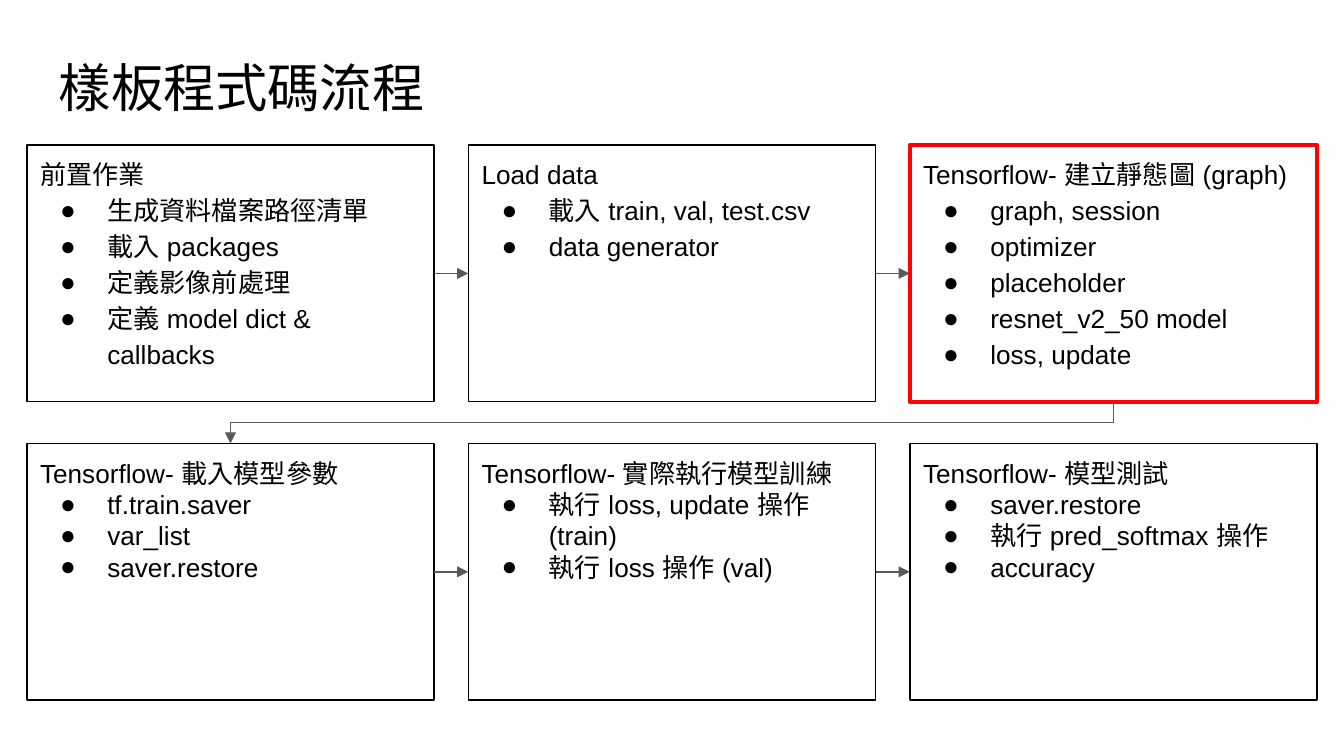
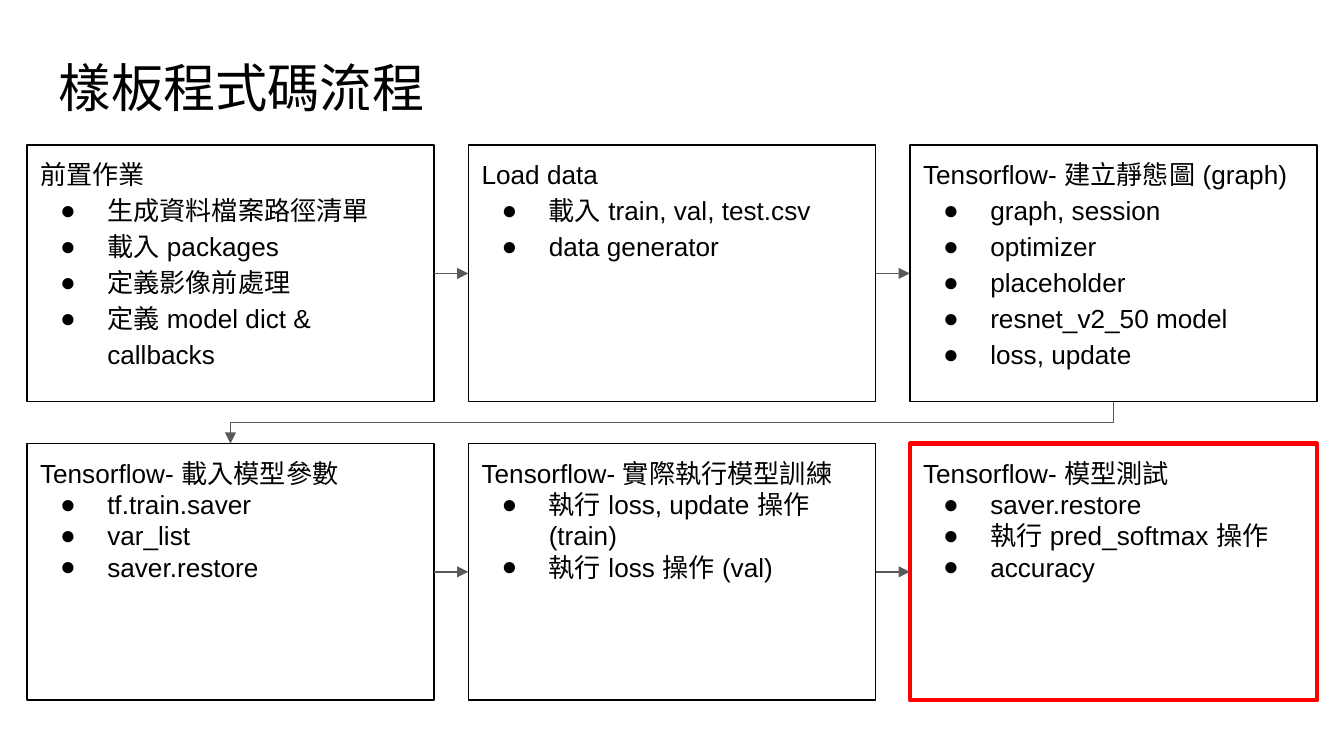
from dataclasses import dataclass
from typing import Any, NamedTuple

import lxml.etree
import pptx
import pptx.dml.color
import pptx.enum.shapes
import pptx.enum.text
import pptx.oxml.ns
import pptx.util

PX = 4572  # 200 px to the inch


def px(length: float) -> int:
    return pptx.util.Emu(round(length * PX))


def rgb(value: str) -> pptx.dml.color.RGBColor:
    return pptx.dml.color.RGBColor.from_string(value)


# Theme: colours, type sizes and line widths
@dataclass(frozen=True)
class Theme:
    font: str = "Arial"
    language: str = "zh-TW"
    ink: str = "000000"
    highlight: str = "FF0000"
    arrow: str = "595959"
    title_size: int = 28
    body_size: int = 14
    thin: float = 0.75
    thick: float = 2.25
    inset: int = 20
    bullet: str = "●"
    bullet_margin: int = 100
    bullet_hang: int = 70


THEME = Theme()


class Box(NamedTuple):
    left: int
    top: int
    width: int
    height: int


class Step(NamedTuple):
    heading: str
    items: tuple[str, ...]


# Geometry
SLIDE_WIDTH, SLIDE_HEIGHT = 2000, 1125
TITLE_BOX = Box(68, 62, 1864, 126)
FIRST_STEP = Box(40, 216, 606, 382)
COLUMNS, COLUMN_PITCH, ROW_PITCH = 3, 657, 444
ROW_SPACING = (1.15, 1.0)
TOP, LEFT, BOTTOM, RIGHT = range(4)  # connection sites of a rectangle

# Content
TITLE = "樣板程式碼流程"
STEPS = (
    Step("前置作業", ("生成資料檔案路徑清單", "載入 packages", "定義影像前處理",
                  "定義 model dict & callbacks")),
    Step("Load data", ("載入 train, val, test.csv", "data generator")),
    Step("Tensorflow- 建立靜態圖 (graph)",
         ("graph, session", "optimizer", "placeholder", "resnet_v2_50 model",
          "loss, update")),
    Step("Tensorflow- 載入模型參數", ("tf.train.saver", "var_list", "saver.restore")),
    Step("Tensorflow- 實際執行模型訓練",
         ("執行 loss, update 操作 (train)", "執行 loss 操作 (val)")),
    Step("Tensorflow- 模型測試",
         ("saver.restore", "執行 pred_softmax 操作", "accuracy")),
)
HIGHLIGHTED_STEPS = (2, 5)  # one slide for each


# Formatting helpers
def apply_format(target: Any, values: dict[str, Any]) -> None:
    for name, value in values.items():
        setattr(target, name, value)


def add_xml(parent: Any, tag: str, **attributes: str) -> Any:
    return lxml.etree.SubElement(parent, pptx.oxml.ns.qn(tag), attributes)


def format_line(line: Any, color: str, width: float) -> None:
    line.color.rgb = rgb(color)
    line.width = pptx.util.Pt(width)


def format_frame(frame: Any) -> None:
    inset = px(THEME.inset)
    apply_format(frame, {
        "word_wrap": True,
        "vertical_anchor": pptx.enum.text.MSO_ANCHOR.TOP,
        "margin_left": inset, "margin_top": inset,
        "margin_right": inset, "margin_bottom": inset,
    })


def write_paragraph(paragraph: Any, text: str, size: int, spacing: float = 1.0) -> None:
    apply_format(paragraph, {
        "alignment": pptx.enum.text.PP_ALIGN.LEFT, "line_spacing": spacing,
    })
    run = paragraph.add_run()
    run.text = text
    run.font.color.rgb = rgb(THEME.ink)
    apply_format(run.font, {"name": THEME.font, "size": pptx.util.Pt(size)})
    properties = run.font._element
    properties.set("lang", THEME.language)
    add_xml(properties, "a:ea", typeface=THEME.font)


def add_bullet(paragraph: Any) -> None:
    properties = paragraph._p.get_or_add_pPr()
    properties.set("marL", str(px(THEME.bullet_margin)))
    properties.set("indent", str(-px(THEME.bullet_hang)))
    add_xml(add_xml(properties, "a:buClr"), "a:srgbClr", val=THEME.ink)
    add_xml(properties, "a:buFont", typeface=THEME.font)
    add_xml(properties, "a:buChar", char=THEME.bullet)


# Slide parts
def draw_title(slide: Any) -> None:
    title = slide.shapes.add_textbox(*map(px, TITLE_BOX))
    format_frame(title.text_frame)
    write_paragraph(title.text_frame.paragraphs[0], TITLE, THEME.title_size)


def draw_step(slide: Any, index: int, highlighted: bool) -> Any:
    row, column = divmod(index, COLUMNS)
    box = FIRST_STEP._replace(left=FIRST_STEP.left + column * COLUMN_PITCH,
                              top=FIRST_STEP.top + row * ROW_PITCH)
    panel = slide.shapes.add_shape(
        pptx.enum.shapes.MSO_SHAPE.RECTANGLE, *map(px, box))
    panel.shadow.inherit = False
    panel.fill.background()
    if highlighted:
        format_line(panel.line, THEME.highlight, THEME.thick)
    else:
        format_line(panel.line, THEME.ink, THEME.thin)

    frame = panel.text_frame
    format_frame(frame)
    write_paragraph(frame.paragraphs[0], STEPS[index].heading, THEME.body_size)
    for item in STEPS[index].items:
        paragraph = frame.add_paragraph()
        write_paragraph(paragraph, item, THEME.body_size, ROW_SPACING[row])
        add_bullet(paragraph)
    return panel


def draw_arrow(slide: Any, kind: Any, source: Any, source_site: int,
               target: Any, target_site: int) -> Any:
    arrow = slide.shapes.add_connector(kind, 0, 0, 0, 0)
    arrow.begin_connect(source, source_site)
    arrow.end_connect(target, target_site)
    format_line(arrow.line, THEME.arrow, THEME.thin)
    add_xml(arrow.line._get_or_add_ln(), "a:tailEnd", type="triangle")
    add_xml(arrow._element.spPr, "a:effectLst")
    return arrow


def draw_row_return(slide: Any, source: Any, target: Any) -> None:
    """Leave the last step of a row downwards and enter the next row from above."""
    arrow = draw_arrow(slide, pptx.enum.shapes.MSO_CONNECTOR.ELBOW,
                       source, BOTTOM, target, TOP)
    drop = arrow.end_y - arrow.begin_y
    span = arrow.begin_x - arrow.end_x
    center_x = (arrow.begin_x + arrow.end_x) // 2
    center_y = (arrow.begin_y + arrow.end_y) // 2
    apply_format(arrow, {
        "left": center_x - drop // 2, "top": center_y - span // 2,
        "width": drop, "height": span,
    })
    transform = arrow._element.spPr.find(pptx.oxml.ns.qn("a:xfrm"))
    transform.attrib.clear()
    transform.set("rot", str(90 * 60000))


def draw_flow(slide: Any, highlighted: int) -> None:
    panels = [draw_step(slide, index, index == highlighted)
              for index in range(len(STEPS))]
    for index, (source, target) in enumerate(zip(panels, panels[1:]), start=1):
        if index % COLUMNS:
            draw_arrow(slide, pptx.enum.shapes.MSO_CONNECTOR.STRAIGHT,
                       source, RIGHT, target, LEFT)
        else:
            draw_row_return(slide, source, target)


def main() -> None:
    deck = pptx.Presentation()
    apply_format(deck, {"slide_width": px(SLIDE_WIDTH),
                        "slide_height": px(SLIDE_HEIGHT)})
    for highlighted in HIGHLIGHTED_STEPS:
        slide = deck.slides.add_slide(deck.slide_layouts[6])
        draw_title(slide)
        draw_flow(slide, highlighted)
    deck.save("out.pptx")


if __name__ == "__main__":
    main()
